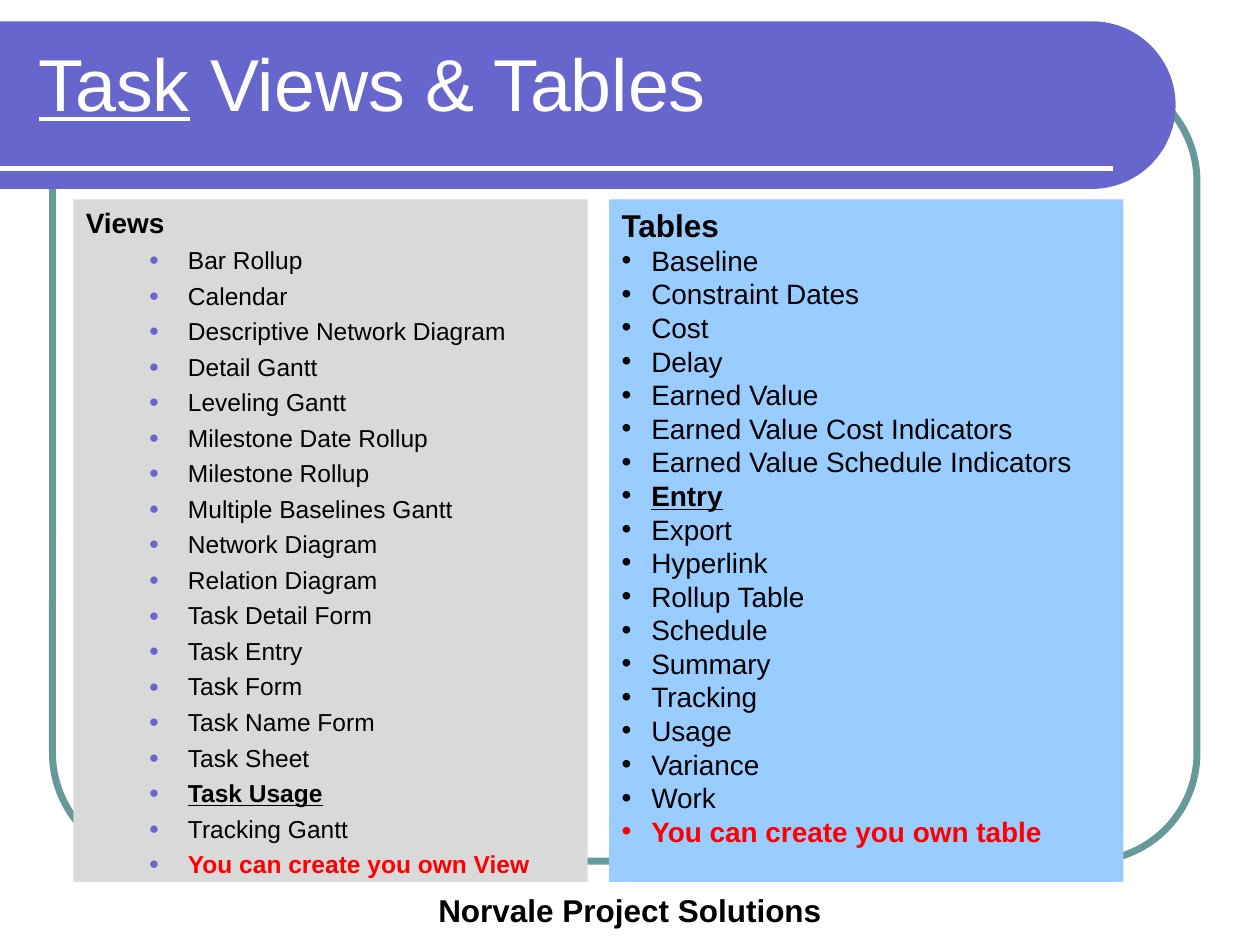
import math

import lxml.etree
import pptx
import pptx.dml.color
import pptx.enum.shapes
import pptx.enum.text
import pptx.oxml.ns
import pptx.util

Cm, Pt = pptx.util.Cm, pptx.util.Pt
RGB = pptx.dml.color.RGBColor.from_string
SHAPE = pptx.enum.shapes.MSO_SHAPE
ANCHOR = pptx.enum.text.MSO_ANCHOR
ALIGN = pptx.enum.text.PP_ALIGN
qn = pptx.oxml.ns.qn

COLORS = {"banner": "6666CC", "frame": "669999", "white": "FFFFFF", "black": "000000",
          "views": "D9D9D9", "tables": "99CCFF", "red": "FF0000"}


def format_paragraph(p, size, color="black", bold=False, underline=False):
    p.line_spacing = Pt(1.2 * size)
    for r in p.runs:
        r.font.name = "Arial"
        r.font.size = Pt(size)
        r.font.bold = bold
        r.font.underline = underline
        r.font.color.rgb = RGB(COLORS[color])


def add_bullet(p, char, color, percent, margin, hanging):
    pPr = p._p.get_or_add_pPr()
    pPr.set("marL", str(Cm(margin)))
    pPr.set("indent", str(-Cm(hanging)))
    clr = lxml.etree.SubElement(pPr, qn("a:buClr"))
    lxml.etree.SubElement(clr, qn("a:srgbClr"), val=COLORS[color])
    lxml.etree.SubElement(pPr, qn("a:buSzPct"), val=str(percent * 1000))
    lxml.etree.SubElement(pPr, qn("a:buFont"), typeface="Arial")
    lxml.etree.SubElement(pPr, qn("a:buChar"), char=char)


prs = pptx.Presentation()
prs.slide_width, prs.slide_height = Cm(25.4), Cm(19.05)
s = prs.slides.add_slide(prs.slide_layouts[6])

# Rounded frame
sp = s.shapes.add_shape(SHAPE.ROUNDED_RECTANGLE, Cm(1.06), Cm(1.48), Cm(23.07), Cm(15.88))
sp.adjustments[0] = 0.137
sp.shadow.inherit = False
sp.fill.background()
sp.line.color.rgb = RGB(COLORS["frame"])
sp.line.width = Pt(4)

# Banner with a half-round right end
radius, center_x, center_y = 1.69, 22.01, 2.12
arc = []
for degrees in range(-90, 91, 3):
    angle = math.radians(degrees)
    arc.append((Cm(center_x + radius * math.cos(angle)), Cm(center_y + radius * math.sin(angle))))
fb = s.shapes.build_freeform(0, Cm(center_y - radius))
fb.add_line_segments(arc + [(0, Cm(center_y + radius))], close=True)
sp = fb.convert_to_shape()
sp.shadow.inherit = False
sp.fill.solid()
sp.fill.fore_color.rgb = RGB(COLORS["banner"])
sp.line.fill.background()

# Banner rule
line = s.shapes.add_connector(pptx.enum.shapes.MSO_CONNECTOR.STRAIGHT, 0, Cm(3.39), Cm(22.44), Cm(3.39))
line.line.color.rgb = RGB(COLORS["white"])
line.line.width = Pt(3)
lxml.etree.SubElement(line._element.spPr, qn("a:effectLst"))

# Title
tf = s.shapes.add_textbox(Cm(0.53), Cm(0.64), Cm(22.28), Cm(2.54)).text_frame
tf.word_wrap = True
p = tf.paragraphs[0]
for text in ("Task", " Views & Tables"):
    p.add_run().text = text
format_paragraph(p, 42, "white")
p.runs[0].font.underline = True

# The two list panels
views = ["Bar Rollup", "Calendar", "Descriptive Network Diagram", "Detail Gantt", "Leveling Gantt",
         "Milestone Date Rollup", "Milestone Rollup", "Multiple Baselines Gantt", "Network Diagram",
         "Relation Diagram", "Task Detail Form", "Task Entry", "Task Form", "Task Name Form",
         "Task Sheet", "Task Usage", "Tracking Gantt", "You can create you own View"]
tables = ["Baseline", "Constraint Dates", "Cost", "Delay", "Earned Value",
          "Earned Value Cost Indicators", "Earned Value Schedule Indicators", "Entry", "Export",
          "Hyperlink", "Rollup Table", "Schedule", "Summary", "Tracking", "Usage", "Variance",
          "Work", "You can create you own table"]
panels = [
    dict(left=1.48, fill="views", head="Views", head_size=16, items=views, size=14, before=3.5,
         key="Task Usage", char="●", bullet="banner", last_bullet="banner", percent=70,
         margin=2.06, hanging=0.79),
    dict(left=12.28, fill="tables", head="Tables", head_size=18, items=tables, size=16, before=0,
         key="Entry", char="•", bullet="black", last_bullet="red", percent=100,
         margin=0.6, hanging=0.6),
]
for panel in panels:
    sp = s.shapes.add_shape(SHAPE.RECTANGLE, Cm(panel["left"]), Cm(4.02), Cm(10.37), Cm(13.76))
    sp.shadow.inherit = False
    sp.fill.solid()
    sp.fill.fore_color.rgb = RGB(COLORS[panel["fill"]])
    sp.line.fill.background()
    tf = sp.text_frame
    tf.word_wrap = True
    tf.vertical_anchor = ANCHOR.TOP
    p = tf.paragraphs[0]
    p.text = panel["head"]
    p.alignment = ALIGN.LEFT
    format_paragraph(p, panel["head_size"], bold=True)
    for item in panel["items"]:
        last, key = item == panel["items"][-1], item == panel["key"]
        p = tf.add_paragraph()
        p.text = item
        p.alignment = ALIGN.LEFT
        p.space_before = Pt(panel["before"])
        format_paragraph(p, panel["size"], "red" if last else "black", last or key, key)
        add_bullet(p, panel["char"], panel["last_bullet" if last else "bullet"],
                   panel["percent"], panel["margin"], panel["hanging"])

# Footer
tf = s.shapes.add_textbox(Cm(7.41), Cm(17.57), Cm(10.58), Cm(1.27)).text_frame
tf.word_wrap = True
tf.vertical_anchor = ANCHOR.BOTTOM
p = tf.paragraphs[0]
p.text = "Norvale Project Solutions"
p.alignment = ALIGN.CENTER
format_paragraph(p, 18, bold=True)

prs.save("out.pptx")
